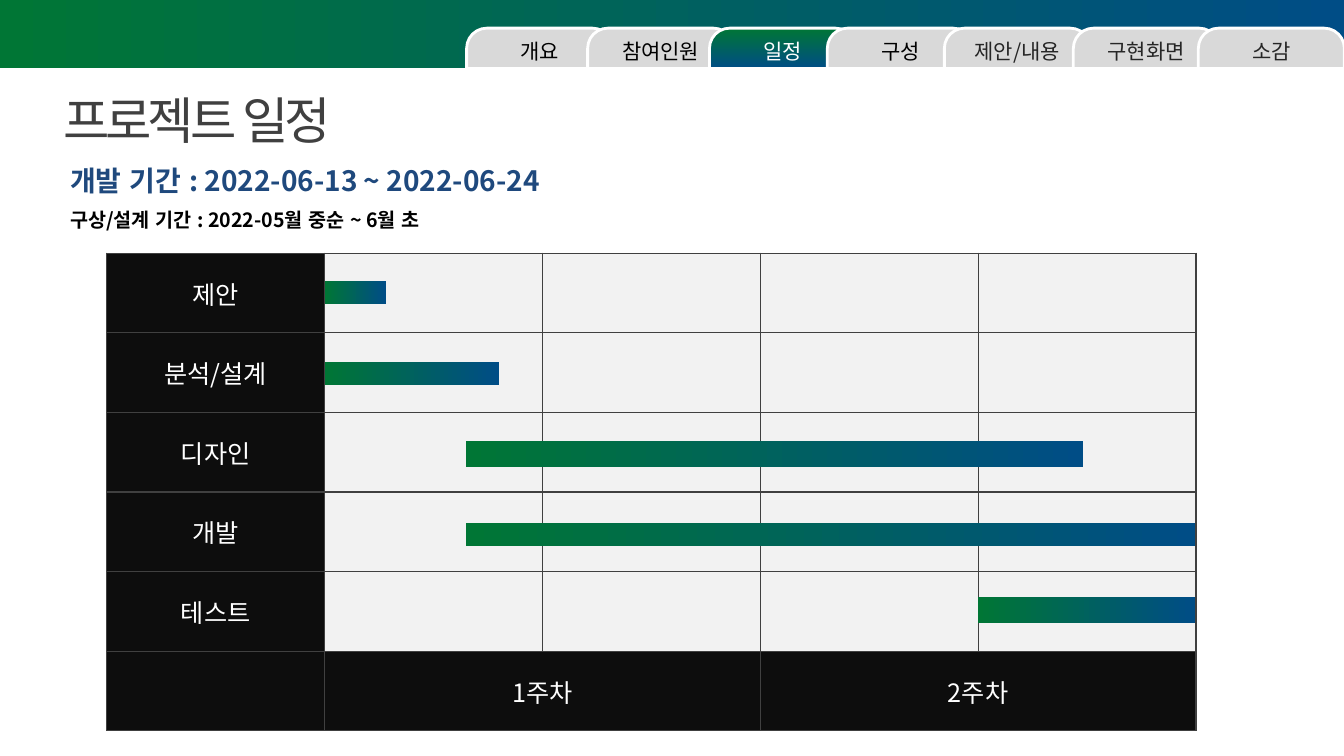
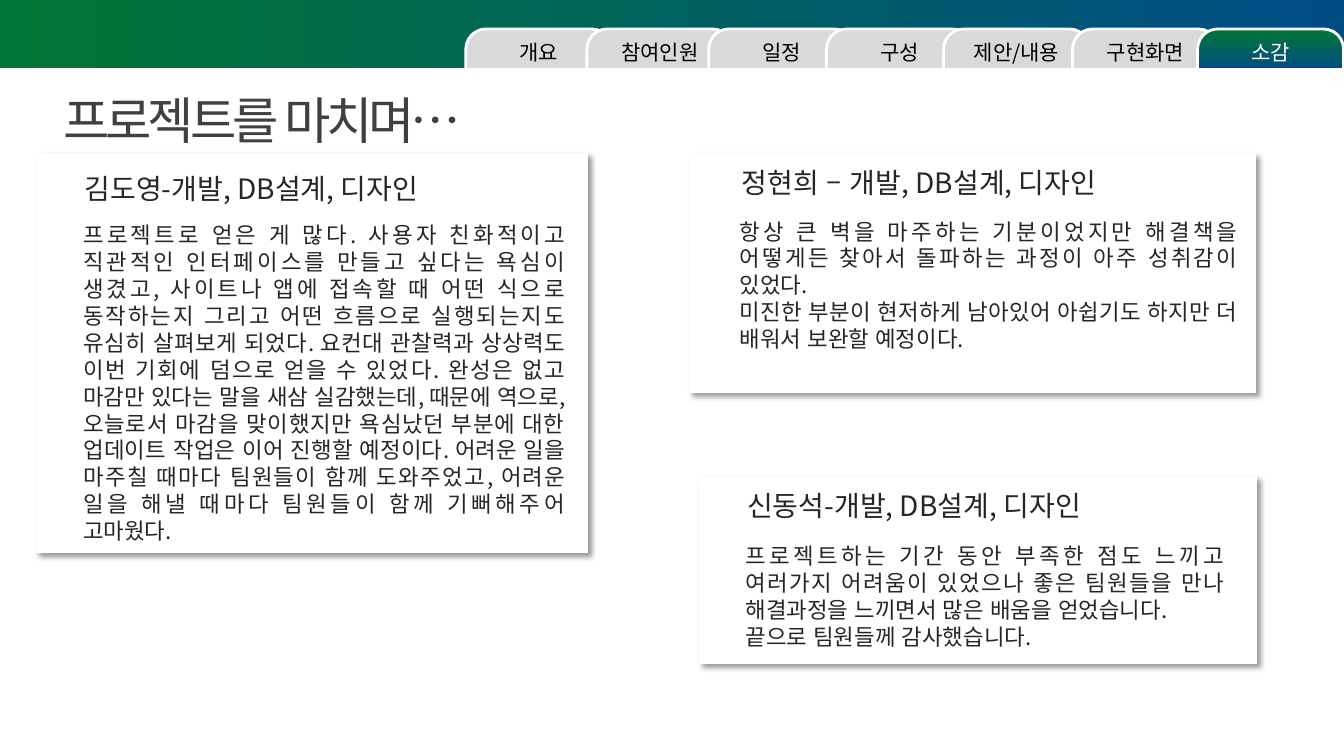
"""Build the project schedule and closing remarks slides."""
from dataclasses import dataclass
from typing import Any

from lxml.etree import SubElement
from pptx import Presentation
from pptx.dml.color import RGBColor
from pptx.enum.lang import MSO_LANGUAGE_ID
from pptx.enum.shapes import MSO_SHAPE
from pptx.enum.text import MSO_ANCHOR, PP_ALIGN
from pptx.oxml import parse_xml
from pptx.oxml.ns import nsdecls, qn
from pptx.util import Cm, Pt

COLOURS = {
    "green": "007635",
    "blue": "004D86",
    "navy": "1F497D",
    "white": "FFFFFF",
    "black": "000000",
    "ink": "262626",
    "grey": "404040",
    "tab": "D9D9D9",
    "cell": "F2F2F2",
    "header": "0D0D0D",
}
FONT = "Noto Sans CJK KR"


@dataclass(frozen=True)
class Area:
    left: float
    top: float
    width: float
    height: float

    def lengths(self) -> tuple[Cm, Cm, Cm, Cm]:
        return Cm(self.left), Cm(self.top), Cm(self.width), Cm(self.height)


@dataclass(frozen=True)
class Style:
    size: float
    colour: str
    bold: bool = False
    align: Any = PP_ALIGN.LEFT
    tracking: int = 0


@dataclass(frozen=True)
class Tab:
    label: str
    left: float


@dataclass(frozen=True)
class Card:
    frame: Area
    heading_area: Area
    heading: str
    body_area: Area
    body: tuple[str, ...]


TITLE = Style(36, "grey", tracking=-300)
PERIOD = Style(20, "navy", bold=True)
PLANNING = Style(14, "black", bold=True)
CELL = Style(18, "white", align=PP_ALIGN.CENTER)
HEADING = Style(20, "ink")
BODY = Style(16, "ink", align=PP_ALIGN.JUSTIFY)

TABS = (
    Tab("개요", 11.76),
    Tab("참여인원", 14.81),
    Tab("일정", 17.88),
    Tab("구성", 20.85),
    Tab("제안/내용", 23.8),
    Tab("구현화면", 27.05),
    Tab("소감", 30.2),
)
STAGES = ("제안", "분석/설계", "디자인", "개발", "테스트")
WEEKS = ("1주차", "2주차")
SCHEDULE = Area(2.69, 6.38, 27.45, 12.04)
BARS = (
    Area(8.19, 7.09, 1.53, 0.58),
    Area(8.19, 9.12, 4.39, 0.58),
    Area(11.74, 11.12, 15.55, 0.64),
    Area(11.74, 13.19, 18.38, 0.58),
    Area(24.65, 15.04, 5.47, 0.67),
)
CARDS = (
    Card(
        Area(0.93, 3.87, 13.87, 10.06),
        Area(1.88, 4.19, 13.21, 1.12),
        "김도영-개발, DB설계, 디자인",
        Area(1.85, 5.46, 12.65, 2.39),
        (
            "프로젝트로 얻은 게 많다. 사용자 친화적이고 직관적인 인터페이스를 만들고 싶다는 욕심이 "
            "생겼고, 사이트나 앱에 접속할 때 어떤 식으로 동작하는지 그리고 어떤 흐름으로 실행되는지도 "
            "유심히 살펴보게 되었다. 요컨대 관찰력과 상상력도 이번 기회에 덤으로 얻을 수 있었다. "
            "완성은 없고 마감만 있다는 말을 새삼 실감했는데, 때문에 역으로, 오늘로서 마감을 맞이했지만 "
            "욕심났던 부분에 대한 업데이트 작업은 이어 진행할 예정이다. 어려운 일을 마주칠 때마다 "
            "팀원들이 함께 도와주었고, 어려운 일을 해낼 때마다 팀원들이 함께 기뻐해주어 고마웠다.",
        ),
    ),
    Card(
        Area(17.63, 12.01, 14.02, 4.71),
        Area(18.58, 12.19, 13.21, 1.07),
        "신동석-개발, DB설계, 디자인",
        Area(18.54, 13.54, 12.57, 2.18),
        (
            "프로젝트하는 기간 동안 부족한 점도 느끼고 여러가지 어려움이 있었으나 좋은 팀원들을 만나 "
            "해결과정을 느끼면서 많은 배움을 얻었습니다.",
            "끝으로 팀원들께 감사했습니다.",
        ),
    ),
    Card(
        Area(17.39, 3.87, 14.25, 6.02),
        Area(18.44, 4.04, 13.21, 1.12),
        "정현희 – 개발, DB설계, 디자인",
        Area(18.39, 5.36, 13.06, 1.42),
        (
            "항상 큰 벽을 마주하는 기분이었지만 해결책을 어떻게든 찾아서 돌파하는 과정이 아주 "
            "성취감이 있었다.",
            "미진한 부분이 현저하게 남아있어 아쉽기도 하지만 더 배워서 보완할 예정이다.",
        ),
    ),
)


def colour(name: str) -> RGBColor:
    return RGBColor.from_string(COLOURS[name])


def fill_solid(target: Any, name: str) -> None:
    target.fill.solid()
    target.fill.fore_color.rgb = colour(name)


def fill_gradient(box: Any, angle: float = 0) -> None:
    box.fill.gradient()
    box.fill.gradient_angle = angle
    for stop, name in zip(box.fill.gradient_stops, ("green", "blue")):
        stop.color.rgb = colour(name)


def write(frame: Any, texts: tuple[str, ...], style: Style) -> None:
    for index, text in enumerate(texts):
        para = frame.add_paragraph() if index else frame.paragraphs[0]
        para.alignment = style.align
        span = para.add_run()
        span.text = text
        font = span.font
        font.size = Pt(style.size)
        font.bold = style.bold
        font.color.rgb = colour(style.colour)
        font.name = FONT
        font.language_id = MSO_LANGUAGE_ID.KOREAN
        properties = span._r.get_or_add_rPr()
        SubElement(properties, qn("a:ea"), typeface=FONT)
        if style.tracking:
            properties.set("spc", str(style.tracking))


def add_text(page: Any, area: Area, texts: tuple[str, ...], style: Style,
             anchor: Any = MSO_ANCHOR.MIDDLE) -> None:
    frame = page.shapes.add_textbox(*area.lengths()).text_frame
    frame.word_wrap = True
    frame.vertical_anchor = anchor
    write(frame, texts, style)


def add_bar(page: Any, area: Area) -> None:
    bar = page.shapes.add_shape(MSO_SHAPE.RECTANGLE, *area.lengths())
    bar.shadow.inherit = False
    fill_gradient(bar)
    bar.line.fill.background()


def add_tabs(page: Any, active: str, soft: tuple[str, ...], left_shift: float, top: float) -> None:
    group = page.shapes.add_group_shape()
    for tab in TABS:
        area = Area(tab.left + left_shift, top, 3.68, 1.02)
        box = group.shapes.add_shape(MSO_SHAPE.ROUND_2_SAME_RECTANGLE, *area.lengths())
        box.adjustments[0] = 0.5
        box.shadow.inherit = False
        box.line.color.rgb = colour("white")
        box.line.width = Pt(2)
        if tab.label == active:
            fill_gradient(box, 270)
            text_colour = "white"
        else:
            fill_solid(box, "tab")
            text_colour = "ink" if tab.label in soft else "black"
        box.text_frame.vertical_anchor = MSO_ANCHOR.MIDDLE
        write(box.text_frame, (tab.label,), Style(15, text_colour, align=PP_ALIGN.CENTER))


def add_page(deck: Any, title: str, width: float) -> Any:
    page = deck.slides.add_slide(deck.slide_layouts.get_by_name("Title Only"))
    add_bar(page, Area(0, 0, 33.87, 1.71))
    box = page.shapes.title
    box.left, box.top, box.width, box.height = Area(1.35, 2.13, width, 1.8).lengths()
    box.text_frame.word_wrap = False
    box.text_frame.vertical_anchor = MSO_ANCHOR.TOP
    write(box.text_frame, (title,), TITLE)
    return page


def format_cell(cell: Any, fill: str) -> None:
    properties = cell._tc.get_or_add_tcPr()
    for side in ("lnL", "lnR", "lnT", "lnB"):
        border = SubElement(properties, qn(f"a:{side}"), w=str(Pt(1)))
        solid = SubElement(border, qn("a:solidFill"))
        SubElement(solid, qn("a:srgbClr"), val=COLOURS["grey"])
    fill_solid(cell, fill)
    cell.vertical_anchor = MSO_ANCHOR.MIDDLE


def add_schedule(page: Any) -> None:
    last = len(STAGES)
    table = page.shapes.add_table(last + 1, 5, *SCHEDULE.lengths()).table
    table.first_row = table.horz_banding = False
    for row in range(last + 1):
        for column in range(5):
            is_header = column == 0 or row == last
            format_cell(table.cell(row, column), "header" if is_header else "cell")
    for row, stage in enumerate(STAGES):
        write(table.cell(row, 0).text_frame, (stage,), CELL)
    for index, week in enumerate(WEEKS):
        first = 1 + 2 * index
        table.cell(last, first).merge(table.cell(last, first + 1))
        write(table.cell(last, first).text_frame, (week,), CELL)


def add_card(page: Any, card: Card) -> None:
    box = page.shapes.add_shape(MSO_SHAPE.RECTANGLE, *card.frame.lengths())
    fill_solid(box, "white")
    box.line.color.rgb = colour("white")
    box.line.width = Pt(1)
    box._element.spPr.append(parse_xml(
        f'<a:effectLst {nsdecls("a")}>'
        f'<a:outerShdw blurRad="{Pt(4)}" dist="{Pt(3)}" dir="2700000" algn="tl" rotWithShape="0">'
        f'<a:srgbClr val="{COLOURS["black"]}"><a:alpha val="40000"/></a:srgbClr>'
        "</a:outerShdw></a:effectLst>"))
    add_text(page, card.heading_area, (card.heading,), HEADING)
    add_text(page, card.body_area, card.body, BODY, MSO_ANCHOR.TOP)


def main() -> None:
    deck = Presentation()
    deck.slide_width, deck.slide_height = Cm(33.87), Cm(19.05)

    page = add_page(deck, "프로젝트 일정", 7.82)
    add_text(page, Area(1.52, 4.13, 21.49, 0.84), ("개발 기간 : 2022-06-13 ~ 2022-06-24",), PERIOD)
    add_text(page, Area(1.52, 5.16, 21.49, 0.76),
             ("구상/설계 기간 : 2022-05월 중순 ~ 6월 초",), PLANNING)
    add_schedule(page)
    for area in BARS:
        add_bar(page, area)
    add_tabs(page, "일정", ("제안/내용", "구현화면", "소감"), 0, 0.71)

    page = add_page(deck, "프로젝트를 마치며…", 11.35)
    for card in CARDS:
        add_card(page, card)
    add_tabs(page, "소감", (), -0.02, 0.73)

    deck.save("out.pptx")


if __name__ == "__main__":
    main()
